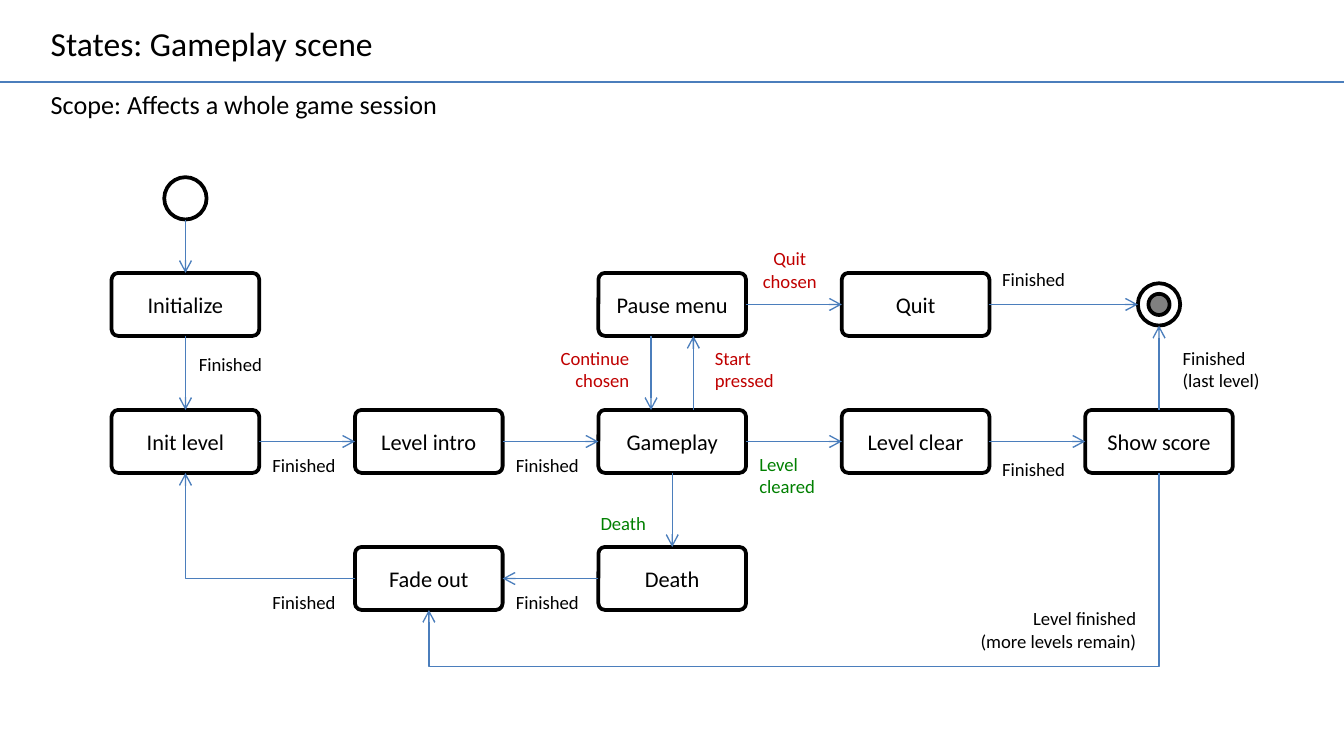
from dataclasses import dataclass

from lxml import etree
from pptx import Presentation
from pptx import util as u
from pptx.dml.color import RGBColor
from pptx.enum import shapes, text
from pptx.oxml import ns

COLORS = {"black": "000000", "white": "FFFFFF", "grey": "808080",
          "blue": "4B7EBC", "red": "C00000", "green": "008000"}
ALIGN = {"l": text.PP_ALIGN.LEFT, "c": text.PP_ALIGN.CENTER, "r": text.PP_ALIGN.RIGHT}
LEFT, TOP, COL_STEP, ROW_STEP = 2.11, 5.16, 4.6, 2.59
BOX_W, BOX_H, CIRCLE = 2.79, 1.19, 0.8
SITES = {"top": 0, "left": 1, "bottom": 2, "right": 3}
OFFSETS = {"top": (0, -0.5), "left": (-0.5, 0), "bottom": (0, 0.5), "right": (0.5, 0)}


@dataclass
class State:
    """A state box placed on the grid."""
    name: str
    col: int
    row: int

    def site(self, side: str) -> tuple[float, float]:
        """Return the middle of one side, in cm."""
        dx, dy = OFFSETS[side]
        return (LEFT + COL_STEP * self.col + BOX_W * (0.5 + dx),
                TOP + ROW_STEP * self.row + BOX_H * (0.5 + dy))


@dataclass
class Label:
    """A text box; a newline starts a new paragraph."""
    text: str
    x: float
    y: float
    w: float = 1.73
    h: float = 0.69
    color: str = "black"
    align: str = "l"
    size: int = 10
    wrap: bool = False


STATES = {s.name: s for s in [
    State("Initialize", 0, 0), State("Pause menu", 2, 0), State("Quit", 3, 0),
    State("Init level", 0, 1), State("Level intro", 1, 1), State("Gameplay", 2, 1),
    State("Level clear", 3, 1), State("Show score", 4, 1),
    State("Fade out", 1, 2), State("Death", 2, 2)]}

TRANSITIONS = [
    ("Initialize", "bottom", "Init level", "top"),
    ("Init level", "right", "Level intro", "left"),
    ("Level intro", "right", "Gameplay", "left"),
    ("Gameplay", "right", "Level clear", "left"),
    ("Level clear", "right", "Show score", "left"),
    ("Pause menu", "right", "Quit", "left"),
    ("Gameplay", "bottom", "Death", "top"),
    ("Death", "left", "Fade out", "right")]

LABELS = [
    Label("States: Gameplay scene", 0.71, 0.3, 7.01, 1.02, size=18, wrap=True),
    Label("Scope: Affects a whole game session", 0.71, 1.55, 8.99, 0.86, size=14, wrap=True),
    Label("Finished", 3.51, 6.55),
    Label("Finished", 4.9, 8.46),
    Label("Finished", 9.5, 8.46),
    Label("Finished", 18.69, 8.53),
    Label("Finished", 18.69, 4.93),
    Label("Finished", 4.9, 11.05),
    Label("Finished", 9.5, 11.05),
    Label("Continue\nchosen", 10.31, 6.43, 1.83, 1.12, "red", "r"),
    Label("Start\npressed", 13.26, 6.43, 1.65, 1.12, "red"),
    Label("Quit\nchosen", 14.15, 4.55, 1.55, 1.12, "red", "c"),
    Label("Finished\n(last level)", 22.1, 6.43, 1.98, 1.12),
    Label("Level\ncleared", 14.1, 8.43, 1.57, 1.12, "green"),
    Label("Death", 11.1, 9.55, 1.4, color="green"),
    Label("Level finished\n(more levels remain)", 18.11, 11.35, 3.61, 1.12,
          align="r", wrap=True)]


def rgb(name: str) -> RGBColor:
    """Look up a colour by name."""
    return RGBColor.from_string(COLORS[name])


def write(tf, content: str, size: int, color: str, align: str) -> None:
    """Fill a text frame, one paragraph per line."""
    for i, line in enumerate(content.split("\n")):
        p = tf.paragraphs[0] if i == 0 else tf.add_paragraph()
        p.alignment = ALIGN[align]
        r = p.add_run()
        r.text = line
        for key, value in {"name": "Calibri", "size": u.Pt(size)}.items():
            setattr(r.font, key, value)
        r.font.color.rgb = rgb(color)


def outlined(parent, kind, x: float, y: float, w: float, h: float, fill: str = "white"):
    """Add a shape with a thick black outline."""
    sp = parent.add_shape(kind, u.Cm(x), u.Cm(y), u.Cm(w), u.Cm(h))
    sp.shadow.inherit = False
    sp.fill.solid()
    sp.fill.fore_color.rgb = rgb(fill)
    sp.line.color.rgb = rgb("black")
    sp.line.width = u.Pt(2)
    return sp


def circle(parent, center: tuple[float, float], d: float, fill: str = "white"):
    """Add an outlined circle around a centre."""
    return outlined(parent, shapes.MSO_SHAPE.OVAL, center[0] - d / 2, center[1] - d / 2, d, d, fill)


def draw_state(s, state: State):
    """Draw a state box with its name."""
    sp = outlined(s.shapes, shapes.MSO_SHAPE.ROUNDED_RECTANGLE,
                  state.site("left")[0], state.site("top")[1], BOX_W, BOX_H)
    sp.adjustments[0] = 0.104
    sp.text_frame.vertical_anchor = text.MSO_ANCHOR.MIDDLE
    write(sp.text_frame, state.name, 12, "black", "c")
    return sp


def draw_label(s, label: Label) -> None:
    """Draw a text box."""
    sp = s.shapes.add_textbox(u.Cm(label.x), u.Cm(label.y), u.Cm(label.w), u.Cm(label.h))
    tf = sp.text_frame
    settings = {"word_wrap": label.wrap, "auto_size": text.MSO_AUTO_SIZE.SHAPE_TO_FIT_TEXT}
    for key, value in settings.items():
        setattr(tf, key, value)
    write(tf, label.text, label.size, label.color, label.align)


def connect(s, start, end, arrow: bool = True, kind=shapes.MSO_CONNECTOR.STRAIGHT):
    """Draw a thin blue connector between two points in cm."""
    sp = s.shapes.add_connector(kind, *(u.Cm(v) for v in (*start, *end)))
    sp.line.color.rgb = rgb("blue")
    sp.line.width = u.Pt(0.75)
    if arrow:
        etree.SubElement(sp.line._get_or_add_ln(), ns.qn("a:tailEnd"), type="arrow")
    etree.SubElement(sp._element.spPr, ns.qn("a:effectLst"))
    return sp


def connect_bent(s, corner, size, turn: int, preset: str, adj: int | None = None) -> None:
    """Draw a bent arrow in an unrotated frame, then turn it by degrees."""
    end = (corner[0] + size[0], corner[1] + size[1])
    sp = connect(s, corner, end, kind=shapes.MSO_CONNECTOR.ELBOW)
    sp_pr = sp._element.spPr
    sp_pr.find(ns.qn("a:xfrm")).set("rot", str(turn * 60000))
    geom = sp_pr.find(ns.qn("a:prstGeom"))
    geom.set("prst", preset)
    if adj is not None:
        guides = geom.find(ns.qn("a:avLst"))
        etree.SubElement(guides, ns.qn("a:gd"), name="adj1", fmla=f"val {adj}")


def main() -> None:
    """Build the state diagram."""
    prs = Presentation()
    prs.slide_width, prs.slide_height = u.Cm(25.4), u.Cm(14.29)
    s = prs.slides.add_slide(prs.slide_layouts[6])
    connect(s, (0, 1.55), (25.4, 1.55), arrow=False)

    boxes = {name: draw_state(s, state) for name, state in STATES.items()}
    for source, out, target, into in TRANSITIONS:
        sp = connect(s, STATES[source].site(out), STATES[target].site(into))
        sp.begin_connect(boxes[source], SITES[out])
        sp.end_connect(boxes[target], SITES[into])

    pause_x, pause_y = STATES["Pause menu"].site("bottom")
    play_y = STATES["Gameplay"].site("top")[1]
    connect(s, (pause_x - 0.4, pause_y), (pause_x - 0.4, play_y))
    connect(s, (pause_x + 0.4, play_y), (pause_x + 0.4, pause_y))

    init = STATES["Initialize"].site("top")
    start = (init[0], 3.75)
    circle(s.shapes, start, CIRCLE)
    connect(s, (start[0], start[1] + CIRCLE / 2), init)

    score, quit_exit = STATES["Show score"].site("top"), STATES["Quit"].site("right")
    final = (score[0], quit_exit[1])
    group = s.shapes.add_group_shape()
    circle(group.shapes, final, CIRCLE)
    circle(group.shapes, final, CIRCLE / 2, "grey")
    connect(s, quit_exit, (final[0] - CIRCLE / 2, final[1]))
    connect(s, score, (final[0], final[1] + CIRCLE / 2))

    fade, level = STATES["Fade out"].site("left"), STATES["Init level"].site("bottom")
    connect_bent(s, level, (fade[0] - level[0], fade[1] - level[1]), 180, "bentConnector2")

    begin, end = STATES["Show score"].site("bottom"), STATES["Fade out"].site("bottom")
    drop, span = end[1] - begin[1], begin[0] - end[0]
    corner = ((begin[0] + end[0] - drop) / 2, (begin[1] + end[1] - span) / 2)
    connect_bent(s, corner, (drop, span), 90, "bentConnector3", 141400)

    for label in LABELS:
        draw_label(s, label)
    prs.save("out.pptx")


main()
